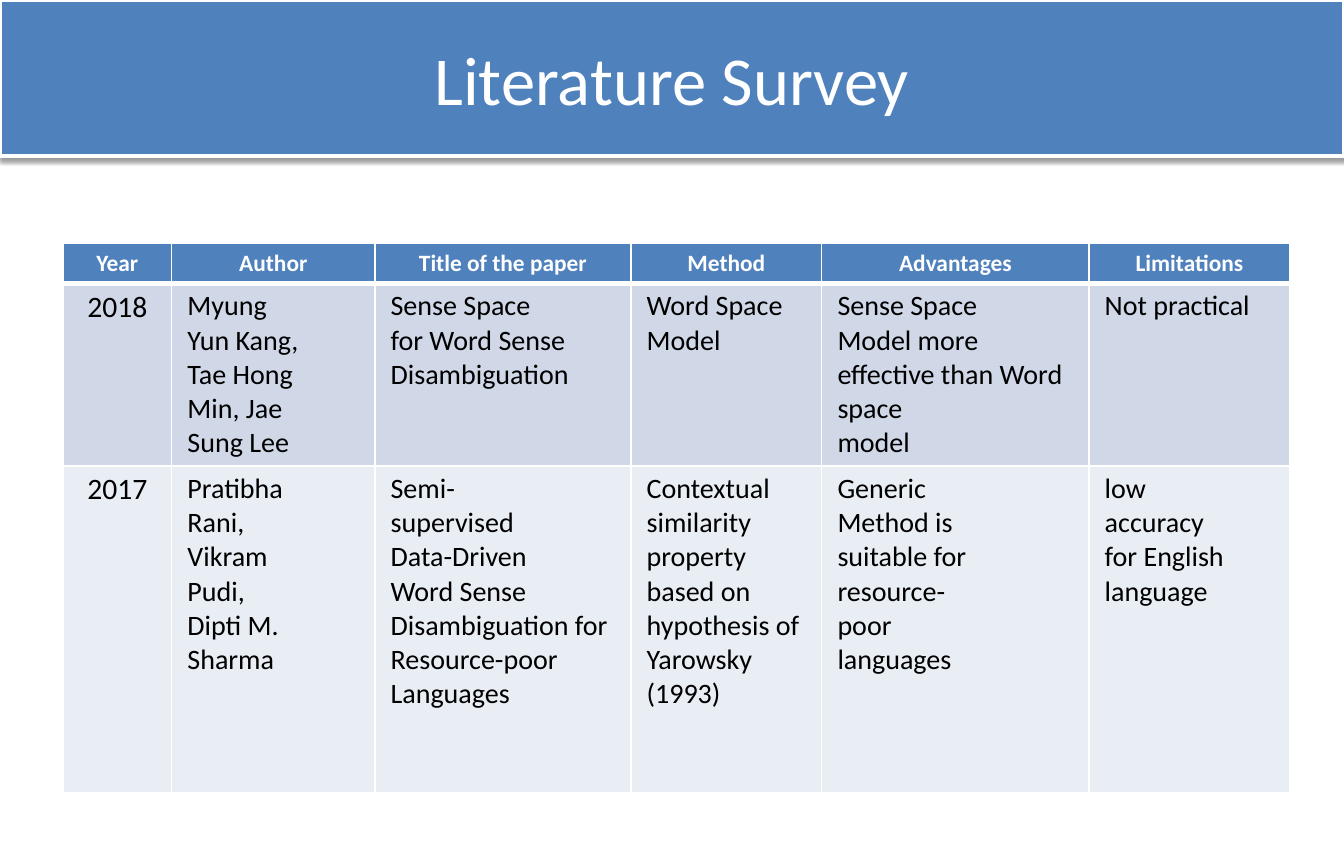
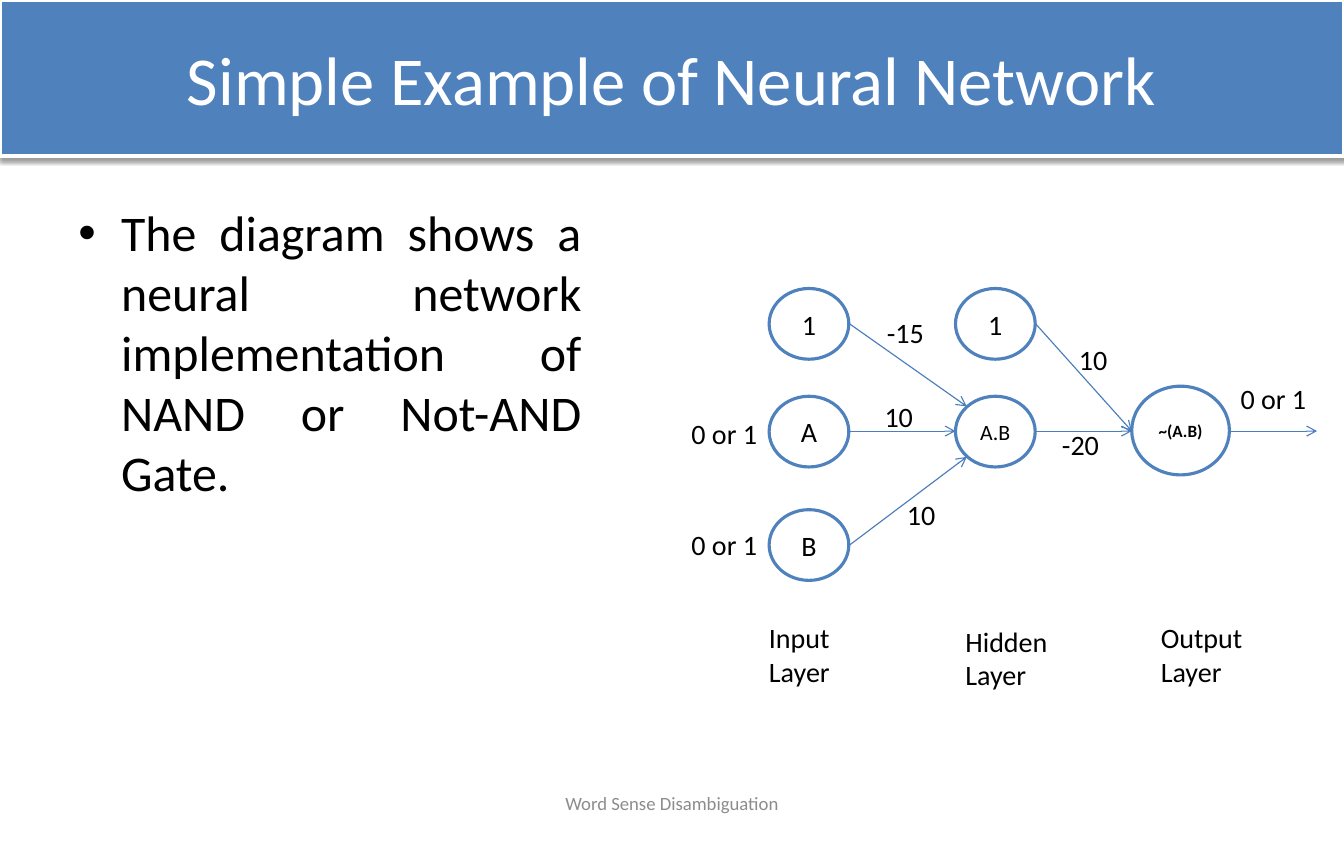
from dataclasses import dataclass
from math import cos, radians, sin
from typing import Any

from pptx import Presentation
from pptx.dml.color import RGBColor
from pptx.enum.shapes import MSO_CONNECTOR, MSO_SHAPE
from pptx.enum.text import MSO_ANCHOR, MSO_AUTO_SIZE, PP_ALIGN
from pptx.oxml import parse_xml
from pptx.oxml.ns import nsdecls
from pptx.util import Emu, Pt

RECT, OVAL = MSO_SHAPE.RECTANGLE, MSO_SHAPE.OVAL
STRAIGHT = MSO_CONNECTOR.STRAIGHT
TOP, MIDDLE = MSO_ANCHOR.TOP, MSO_ANCHOR.MIDDLE
LEFT, CENTER, JUSTIFY = PP_ALIGN.LEFT, PP_ALIGN.CENTER, PP_ALIGN.JUSTIFY
GROW = MSO_AUTO_SIZE.SHAPE_TO_FIT_TEXT

SCALE = 9144  # EMU in one px, 100 px to the inch
WIDTH, HEIGHT = 1197, 750
FONT = "Calibri"
BLUE, EDGE, WHITE, BLACK, GREY = "4F81BD", "4B7EBC", "FFFFFF", "000000", "8C8C8C"
BANDS = ["D0D8E8", "E9EDF4"]

COLS = [97, 181, 228, 170, 238, 179]
ROWS = [32, 144, 291]
HEADS = ["Year", "Author", "Title of the paper", "Method", "Advantages", "Limitations"]
PAPERS = [
    [
        "2018",
        "Myung\nYun Kang,\nTae Hong\nMin, Jae\nSung Lee",
        "Sense Space\nfor Word Sense\nDisambiguation",
        "Word Space\nModel",
        "Sense Space\nModel more effective than Word space\nmodel",
        "Not practical",
    ],
    [
        "2017",
        "Pratibha\nRani,\nVikram\nPudi,\nDipti M.\nSharma",
        "Semi-\nsupervised\nData-Driven\nWord Sense\nDisambiguation for Resource-poor\nLanguages",
        "Contextual\nsimilarity\nproperty\nbased on\nhypothesis of Yarowsky\n(1993)",
        "Generic\nMethod is\nsuitable for\nresource-\npoor\nlanguages",
        "low\naccuracy\nfor English\nlanguage",
    ],
]


@dataclass(frozen=True)
class Look:
    size: int = 18
    color: str = BLACK
    bold: bool = False
    align: Any = LEFT


@dataclass(frozen=True)
class Node:
    text: str
    x: int
    y: int
    w: int = 71
    h: int = 63
    size: int = 18
    bold: bool = False

    def port(self, angle: int) -> tuple[int, int]:
        """Point on the rim, in degrees clockwise from the right."""
        turn = radians(angle)
        return (
            round(self.x + self.w / 2 * (1 + cos(turn))),
            round(self.y + self.h / 2 * (1 + sin(turn))),
        )


@dataclass(frozen=True)
class Label:
    text: str
    x: int
    y: int
    w: int
    h: int = 40
    wrap: bool = False


IN_X, HID_X = 685, 851
NODES = {
    "bias_in": Node("1", IN_X, 257),
    "a": Node("A", IN_X, 353),
    "b": Node("B", IN_X, 454),
    "bias_hid": Node("1", HID_X, 257),
    "and": Node("A.B", HID_X, 353, size=14),
    "nand": Node("~(A.B)", 1008, 344, 87, 79, 11, True),
}
# Start node, end node, angle at which the arrow meets the end node
EDGES = [
    ("bias_in", "and", 225),
    ("a", "and", 180),
    ("b", "and", 135),
    ("bias_hid", "nand", 180),
    ("and", "nand", 180),
]
LABELS = [
    Label("-15", 780, 276, 54),
    Label("10", 778, 351, 46),
    Label("10", 798, 438, 46),
    Label("0 or 1", 606, 366, 79),
    Label("0 or 1", 606, 465, 79),
    Label("10", 951, 300, 59, wrap=True),
    Label("-20", 936, 376, 54),
    Label("0 or 1", 1095, 335, 98, wrap=True),
    Label("Input\nLayer", 675, 548, 75, 71),
    Label("Hidden\nLayer", 850, 551, 94, 71),
    Label("Output\nLayer", 1024, 548, 94, 71),
]


def px(*values: int) -> list[Emu]:
    return [Emu(v * SCALE) for v in values]


def rgb(code: str) -> RGBColor:
    return RGBColor.from_string(code)


def style(target: Any, values: dict[str, Any]) -> None:
    for name, value in values.items():
        setattr(target, name, value)


def paint(target: Any, code: str) -> None:
    target.fill.solid()
    target.fill.fore_color.rgb = rgb(code)


def write(frame: Any, text: str, look: Look) -> None:
    frame.text = text
    font = {"name": FONT, "size": Pt(look.size), "bold": look.bold}
    for para in frame.paragraphs:
        para.alignment = look.align
        for run in para.runs:
            style(run.font, font)
            run.font.color.rgb = rgb(look.color)


def add_text(slide: Any, box: tuple[int, ...], text: str, look: Look, **form: Any) -> Any:
    frame = slide.shapes.add_textbox(*px(*box)).text_frame
    write(frame, text, look)
    style(frame, {"word_wrap": True, "vertical_anchor": TOP, **form})
    return frame


def add_form(slide: Any, kind: Any, box: tuple[int, ...], fill: str,
             line: tuple[str, int], text: str, look: Look, wrap: bool) -> Any:
    form = slide.shapes.add_shape(kind, *px(*box))
    form.shadow.inherit = False
    paint(form, fill)
    form.line.color.rgb = rgb(line[0])
    form.line.width = Pt(line[1])
    write(form.text_frame, text, look)
    style(form.text_frame, {"word_wrap": wrap, "vertical_anchor": MIDDLE})
    return form


def add_title(slide: Any, text: str) -> None:
    band = add_form(slide, RECT, (0, 0, WIDTH, 139), BLUE, (WHITE, 3), text,
                    Look(44, WHITE, align=CENTER), True)
    effects = band._element.spPr.find("{*}effectLst")
    effects.append(parse_xml(
        f'<a:outerShdw {nsdecls("a")} blurRad="40000" dist="20000" dir="5400000" '
        f'rotWithShape="0"><a:srgbClr val="{BLACK}"><a:alpha val="38000"/>'
        "</a:srgbClr></a:outerShdw>"))


def add_arrow(slide: Any, start: tuple[int, int], end: tuple[int, int]) -> None:
    arrow = slide.shapes.add_connector(STRAIGHT, *px(*start, *end))
    arrow.line.color.rgb = rgb(EDGE)
    arrow.line.width = Pt(0.75)
    arrow.line._get_or_add_ln().append(
        parse_xml(f'<a:tailEnd {nsdecls("a")} type="arrow"/>'))
    arrow._element.spPr.append(parse_xml(f'<a:effectLst {nsdecls("a")}/>'))


def add_rules(cell: Any, top: int, base: int) -> None:
    """Draw white cell borders, widths in points."""
    props = cell._tc.get_or_add_tcPr()
    for side, width in {"L": 1, "R": 1, "T": top, "B": base}.items():
        props.append(parse_xml(
            f'<a:ln{side} {nsdecls("a")} w="{Pt(width)}"><a:solidFill>'
            f'<a:srgbClr val="{WHITE}"/></a:solidFill></a:ln{side}>'))


def add_grid(slide: Any) -> None:
    table = slide.shapes.add_table(
        len(ROWS), len(COLS), *px(56, 217, sum(COLS), sum(ROWS))).table
    for col, width in zip(table.columns, px(*COLS)):
        col.width = width
    for row, height in zip(table.rows, px(*ROWS)):
        row.height = height
    side, edge = px(14, 5)
    insets = {"margin_left": side, "margin_right": side,
              "margin_top": edge, "margin_bottom": edge}
    head, year, body = Look(15, WHITE, True, CENTER), Look(19, align=CENTER), Look()
    for r, texts in enumerate([HEADS, *PAPERS]):
        for c, text in enumerate(texts):
            cell = table.cell(r, c)
            style(cell, insets)
            add_rules(cell, 3 if r == 1 else 1, 3 if r == 0 else 1)
            paint(cell, [BLUE, *BANDS][r])
            look = head if r == 0 else year if c == 0 else body
            write(cell.text_frame, text, look)


def add_point(slide: Any, text: str) -> None:
    frame = add_text(slide, (60, 175, 468, 495), text, Look(32, align=JUSTIFY))
    props = frame.paragraphs[0]._p.get_or_add_pPr()
    indent = 38 * SCALE
    props.set("marL", str(indent))
    props.set("indent", str(-indent))
    for tag in ('buFont {} typeface="Arial"', 'buChar {} char="•"'):
        props.append(parse_xml(f'<a:{tag.format(nsdecls("a"))}/>'))


def add_net(slide: Any) -> None:
    for node in NODES.values():
        add_form(slide, OVAL, (node.x, node.y, node.w, node.h), WHITE, (BLUE, 2),
                 node.text, Look(node.size, bold=node.bold, align=CENTER), False)
    for start, end, angle in EDGES:
        add_arrow(slide, NODES[start].port(0), NODES[end].port(angle))
    exit_x, exit_y = NODES["nand"].port(0)
    add_arrow(slide, (exit_x, exit_y), (exit_x + 78, exit_y))
    for label in LABELS:
        add_text(slide, (label.x, label.y, label.w, label.h), label.text, Look(),
                 word_wrap=label.wrap, auto_size=GROW)


def main() -> None:
    deck = Presentation()
    deck.slide_width, deck.slide_height = px(WIDTH, HEIGHT)
    blank = deck.slide_layouts[6]

    survey = deck.slides.add_slide(blank)
    add_grid(survey)
    add_title(survey, "Literature Survey")

    neural = deck.slides.add_slide(blank)
    add_text(neural, (409, 695, 379, 40), "Word Sense Disambiguation",
             Look(12, GREY, align=CENTER), vertical_anchor=MIDDLE)
    add_title(neural, "Simple Example of Neural Network")
    add_point(neural, "The diagram shows a neural network implementation of "
                      "NAND or Not-AND Gate.")
    add_net(neural)

    deck.save("out.pptx")


if __name__ == "__main__":
    main()
